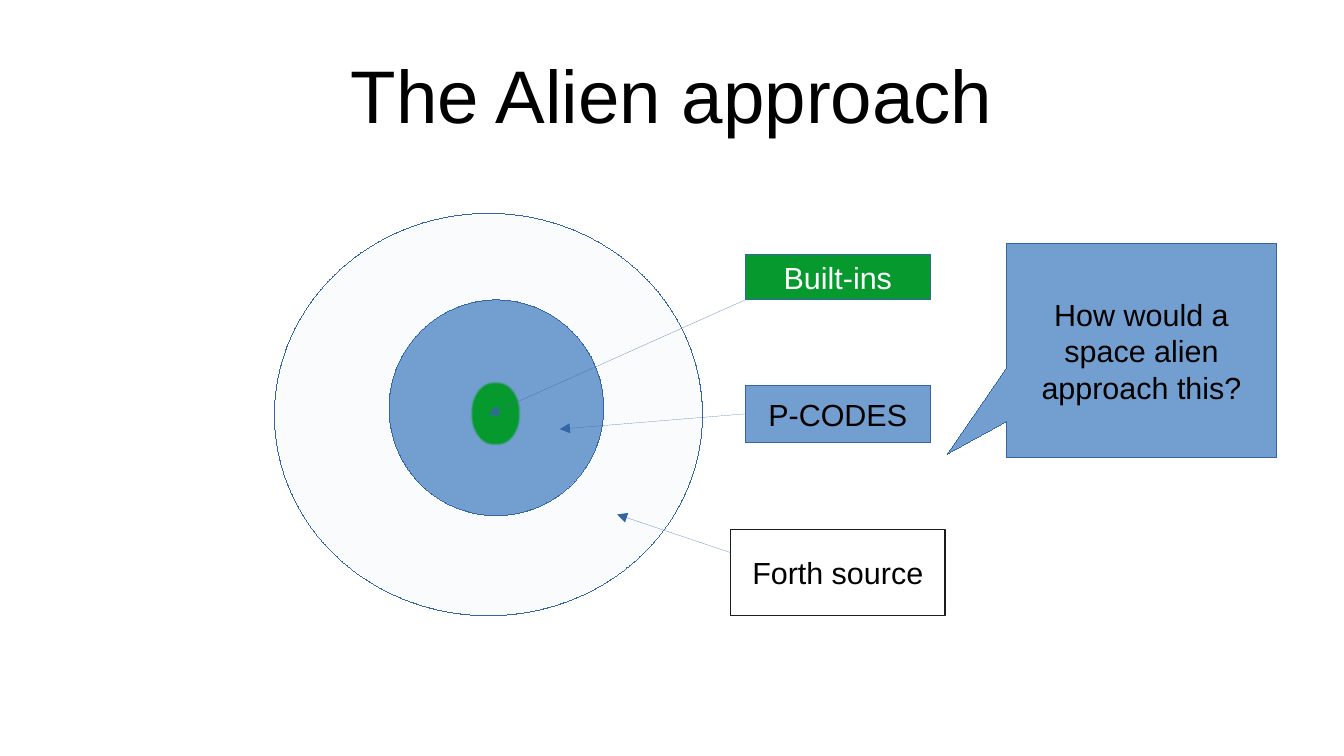
import pptx
import pptx.dml.color
import pptx.enum.dml
import pptx.enum.shapes
import pptx.enum.text
import pptx.oxml
import pptx.oxml.ns
import pptx.util

Pt = pptx.util.Pt
RGBColor = pptx.dml.color.RGBColor
SHAPE = pptx.enum.shapes.MSO_SHAPE

BLACK = RGBColor(0x00, 0x00, 0x00)
WHITE = RGBColor(0xFF, 0xFF, 0xFF)
BLUE = RGBColor(0x72, 0x9F, 0xCF)
DARK_BLUE = RGBColor(0x34, 0x65, 0xA4)
GREEN = RGBColor(0x06, 0x9A, 0x2E)
CHARCOAL = RGBColor(0x1C, 0x1C, 0x1C)
HAIRLINE = 0.01  # a width of 0 is not written to the file, so the theme's would apply
NAMESPACE = pptx.oxml.ns.nsdecls("a")

FRAME_FORMAT = {
    "word_wrap": True,
    "auto_size": pptx.enum.text.MSO_AUTO_SIZE.NONE,
    "vertical_anchor": pptx.enum.text.MSO_ANCHOR.MIDDLE,
}


def write_text(shape, text, size, color, margins):
    """Put one centred paragraph in the shape; margins are (horizontal, vertical)."""
    frame = shape.text_frame
    frame.text = text
    horizontal, vertical = margins
    frame_values = FRAME_FORMAT | {
        "margin_left": Pt(horizontal), "margin_right": Pt(horizontal),
        "margin_top": Pt(vertical), "margin_bottom": Pt(vertical),
    }
    for name, value in frame_values.items():
        setattr(frame, name, value)
    paragraph = frame.paragraphs[0]
    paragraph.alignment = pptx.enum.text.PP_ALIGN.CENTER
    for name, value in {"name": "Arial", "size": Pt(size), "bold": False}.items():
        setattr(paragraph.font, name, value)
    paragraph.font.color.rgb = color


def add_filled_shape(kind, box, fill, outline=DARK_BLUE, width=HAIRLINE):
    shape = slide.shapes.add_shape(kind, *map(Pt, box))
    shape.shadow.inherit = False
    shape.fill.solid()
    shape.fill.fore_color.rgb = fill
    shape.line.color.rgb = outline
    shape.line.width = Pt(width)
    return shape


deck = pptx.Presentation()
deck.slide_width, deck.slide_height = Pt(793.44), Pt(446.4)
slide = deck.slides.add_slide(deck.slide_layouts[5])

title = slide.shapes.title
title_place = {"left": 39.6, "top": 18, "width": 714.24, "height": 74.88}
for name, value in title_place.items():
    setattr(title, name, Pt(value))
write_text(title, "The Alien approach", 44, BLACK, (0, 0))

# Layers of the system, with the translucent outer one over the middle one
add_filled_shape(SHAPE.OVAL, (229.7, 177.1, 126.7, 127.4), BLUE)
source_layer = add_filled_shape(SHAPE.OVAL, (162, 126, 252.7, 237.6), BLUE)
source_color = source_layer.fill._xPr.find(".//" + pptx.oxml.ns.qn("a:srgbClr"))
source_color.append(pptx.oxml.parse_xml(f'<a:alpha {NAMESPACE} val="3000"/>'))
core = add_filled_shape(SHAPE.OVAL, (280.1, 227.5, 25.2, 33.8), GREEN, GREEN)
core_effects = core._element.spPr.find(pptx.oxml.ns.qn("a:effectLst"))
core_effects.append(pptx.oxml.parse_xml(
    f'<a:glow {NAMESPACE} rad="{Pt(2)}"><a:srgbClr val="{GREEN}"/></a:glow>'))

# Label text, box, fill, text colour, outline, outline width, arrow start, arrow tip
labels = [
    ("Built-ins", (439.9, 150.5, 109.4, 26.6), GREEN, WHITE, DARK_BLUE, HAIRLINE,
     (439.9, 177.1), (288.7, 244.8)),
    ("P-CODES", (439.9, 227.5, 109.4, 33.8), BLUE, BLACK, DARK_BLUE, HAIRLINE,
     (439.9, 244.4), (330.5, 253.4)),
    ("Forth source", (431.3, 312.5, 126.7, 51.1), WHITE, BLACK, CHARCOAL, 0.79,
     (431.3, 326.3), (364.3, 303.8)),
]
for text, box, fill, text_color, outline, width, start, tip in labels:
    label = add_filled_shape(SHAPE.RECTANGLE, box, fill, outline, width)
    write_text(label, text, 18, text_color, (7.2, 3.6))
    arrow = slide.shapes.add_connector(
        pptx.enum.shapes.MSO_CONNECTOR.STRAIGHT, *map(Pt, start + tip))
    if text == "P-CODES":
        arrow.begin_connect(label, 1)
    arrow.line.color.rgb = DARK_BLUE
    arrow.line.width = Pt(HAIRLINE)
    arrow.line._get_or_add_ln().append(
        pptx.oxml.parse_xml(f'<a:tailEnd {NAMESPACE} type="triangle"/>'))
    arrow._element.spPr.append(pptx.oxml.parse_xml(f"<a:effectLst {NAMESPACE}/>"))

question = add_filled_shape(SHAPE.RECTANGULAR_CALLOUT, (594, 144, 159.8, 126), BLUE)
question.adjustments[0] = -0.718
question.adjustments[1] = 0.485
write_text(question, "How would a space alien approach this?", 18, BLACK, (7.2, 3.6))

deck.save("out.pptx")
